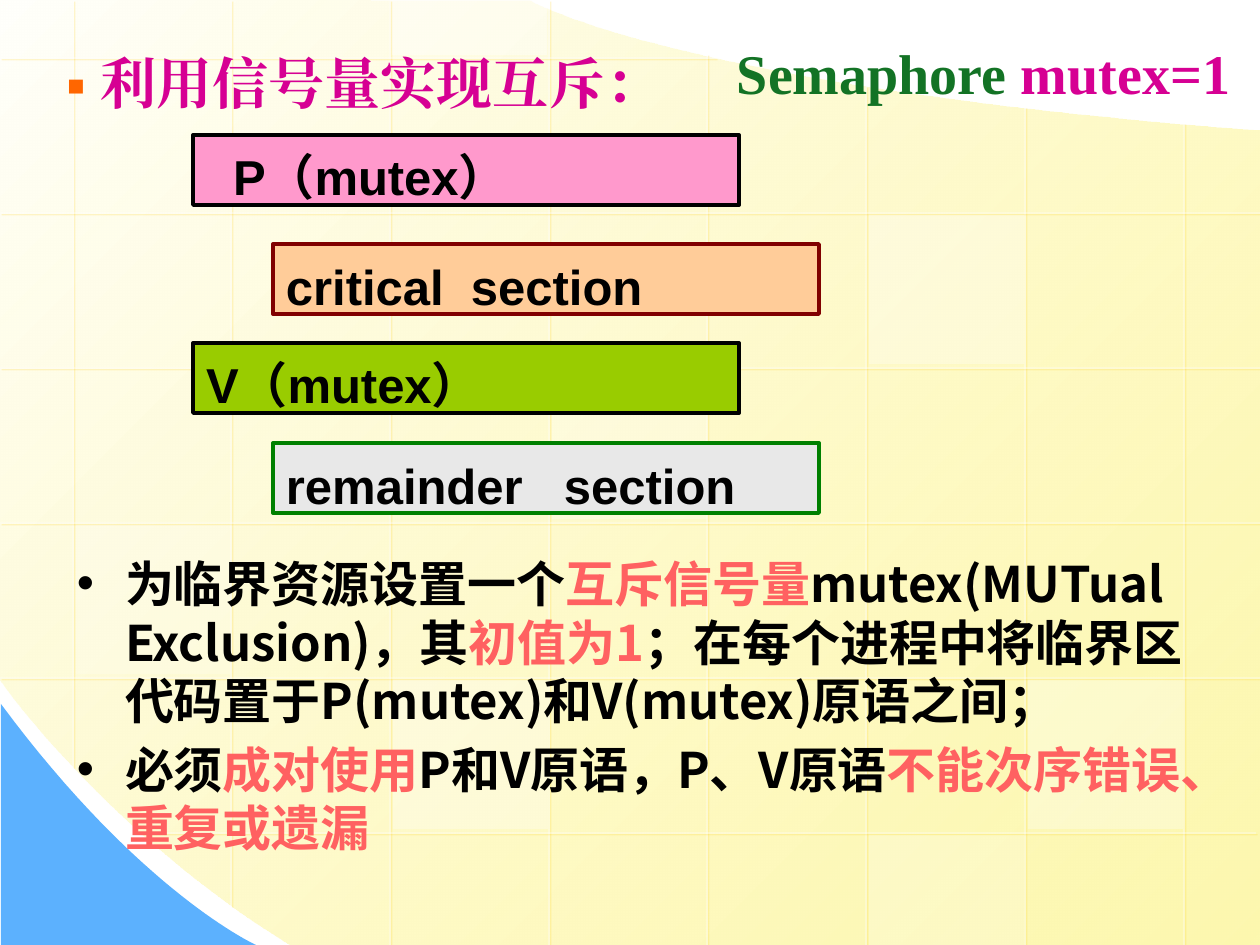
from pptx import Presentation
from pptx.dml.color import RGBColor
from pptx.enum.shapes import MSO_CONNECTOR, MSO_SHAPE
from pptx.enum.text import MSO_ANCHOR, PP_ALIGN
from pptx.oxml import parse_xml
from pptx.oxml.ns import nsdecls, qn
from pptx.util import Emu, Pt

RECT = MSO_SHAPE.RECTANGLE
STRAIGHT = MSO_CONNECTOR.STRAIGHT
TOP = MSO_ANCHOR.TOP
LEFT = PP_ALIGN.LEFT

SCALE = 914400 / 126
WIDTH, HEIGHT = 1260, 945
SANS, SERIF, CJK = "Arial", "Times New Roman", "Noto Sans CJK SC"

WHITE = RGBColor(0xFF, 0xFF, 0xFF)
BLACK = RGBColor(0x00, 0x00, 0x00)
IVORY = RGBColor(0xFF, 0xFF, 0xFB)
YELLOW = RGBColor(0xFD, 0xF5, 0x8D)
GOLD = RGBColor(0xFF, 0xCC, 0x00)
BLUE = RGBColor(0x5C, 0xB1, 0xFE)
CORAL = RGBColor(0xFF, 0x61, 0x61)
ORANGE = RGBColor(0xFF, 0x66, 0x00)
MAGENTA = RGBColor(0xD6, 0x00, 0x93)
FOREST = RGBColor(0x13, 0x73, 0x25)
PINK = RGBColor(0xFF, 0x99, 0xCC)
PEACH = RGBColor(0xFF, 0xCC, 0x99)
MAROON = RGBColor(0x80, 0x00, 0x00)
LIME = RGBColor(0x99, 0xCC, 0x00)
GRAY = RGBColor(0xE8, 0xE8, 0xE8)
GREEN = RGBColor(0x00, 0x80, 0x00)


def px(n):
    return Emu(round(n * SCALE))


def bezier(a, b, c, d, steps=32):
    points = []
    for i in range(1, steps + 1):
        t = i / steps
        u = 1 - t
        points.append(tuple(
            u**3 * a[k] + 3 * u * u * t * b[k] + 3 * u * t * t * c[k] + t**3 * d[k]
            for k in (0, 1)))
    return points


def set_alpha(color, percent):
    color.append(parse_xml(f'<a:alpha {nsdecls("a")} val="{percent * 1000}"/>'))


class SlideBuilder:
    def __init__(self, slide):
        self.s = slide

    def outline(self, points):
        start, *rest = [(px(x), px(y)) for x, y in points]
        builder = self.s.shapes.build_freeform(*start)
        builder.add_line_segments(rest, close=True)
        sp = builder.convert_to_shape()
        sp.shadow.inherit = False
        sp.line.fill.background()
        return sp

    def solid_outline(self, points, color):
        sp = self.outline(points)
        sp.fill.solid()
        sp.fill.fore_color.rgb = color

    def gradient_outline(self, points, first, last, alpha):
        sp = self.outline(points)
        sp.fill.gradient()
        sp.fill.gradient_angle = 315
        for stop, color, position in zip(sp.fill.gradient_stops, (first, last), (0, 1)):
            stop.color.rgb = color
            stop.position = position
        set_alpha(list(sp.element.iter(qn("a:srgbClr")))[-1], alpha)

    def grid_line(self, x1, y1, x2, y2):
        line = self.s.shapes.add_connector(STRAIGHT, px(x1), px(y1), px(x2), px(y2))
        line.line.color.rgb = WHITE
        line.line.width = Pt(0.75)
        set_alpha(next(line.element.iter(qn("a:srgbClr"))), 50)
        line.element.spPr.append(parse_xml(
            f'<a:effectLst {nsdecls("a")}><a:outerShdw dist="17780" dir="2700000">'
            f'<a:srgbClr val="{GOLD}"><a:alpha val="34000"/></a:srgbClr>'
            '</a:outerShdw></a:effectLst>'))

    def rect(self, x, y, w, h, fill):
        sp = self.s.shapes.add_shape(RECT, px(x), px(y), px(w), px(h))
        sp.shadow.inherit = False
        sp.fill.solid()
        sp.fill.fore_color.rgb = fill
        return sp

    def tile(self, x, y, h, alpha):
        sp = self.rect(x, y, 155, h, WHITE)
        sp.line.fill.background()
        set_alpha(next(sp.element.spPr.iter(qn("a:srgbClr"))), alpha)

    def frame(self, sp, top, right=13):
        tf = sp.text_frame
        tf.word_wrap = True
        tf.vertical_anchor = TOP
        tf.margin_left, tf.margin_right = px(13), px(right)
        tf.margin_top, tf.margin_bottom = px(top), px(6)
        return tf

    def runs(self, p, parts, font, size):
        p.alignment = LEFT
        for text, color in parts:
            r = p.add_run()
            r.text = text
            r.font.name = font
            r.font.size = Pt(size)
            r.font.bold = True
            r.font.color.rgb = color
            r.font._element.find(qn("a:latin")).addnext(
                parse_xml(f'<a:ea {nsdecls("a")} typeface="{font}"/>'))

    def step(self, x, y, text, fill, border, indent=0, tab=0):
        sp = self.rect(x, y, 546, 70, fill)
        sp.line.color.rgb = border
        sp.line.width = Pt(2.25)
        p = self.frame(sp, 12).paragraphs[0]
        pPr = p._p.get_or_add_pPr()
        pPr.set("marL", str(px(indent)))
        if tab:
            pPr.append(parse_xml(
                f'<a:tabLst {nsdecls("a")}><a:tab pos="{px(tab)}" algn="l"/></a:tabLst>'))
        self.runs(p, [(text, BLACK)], SANS, 28)

    def heading(self, x, y, w, parts):
        sp = self.s.shapes.add_textbox(px(x), px(y), px(w), px(79))
        self.runs(self.frame(sp, 13, 0).paragraphs[0], parts, SERIF, 32)

    def bullets(self, x, y, w, h, items):
        tf = self.frame(self.s.shapes.add_textbox(px(x), px(y), px(w), px(h)), 12)
        for i, parts in enumerate(items):
            p = tf.add_paragraph() if i else tf.paragraphs[0]
            pPr = p._p.get_or_add_pPr()
            pPr.set("marL", str(px(48)))
            pPr.set("indent", str(-px(48)))
            pPr.append(parse_xml(f'<a:buFont {nsdecls("a")} typeface="{SANS}"/>'))
            pPr.append(parse_xml(f'<a:buChar {nsdecls("a")} char="•"/>'))
            p.line_spacing = Pt(33.4)
            if i:
                p.space_before = Pt(6)
            self.runs(p, parts, CJK, 28)


def draw_background(b):
    b.gradient_outline(
        [(1260, 131), (1260, 945), (290, 945)]
        + bezier((290, 945), (108, 833), (-1, 679), (0, 679))
        + [(-1, -1), (530, 1)]
        + bezier((530, 1), (530, 1), (677, 87), (1260, 131))[:-1],
        IVORY, YELLOW, 70)
    b.solid_outline(
        [(1, 704), (1, 945), (256, 945)]
        + bezier((256, 945), (256, 945), (141, 893), (1, 704))[:-1], BLUE)

    columns = [73 + 1111 * i // 7 for i in range(8)]
    rows = [58 + 155 * i for i in range(6)]
    tops = [0, 0, 0, 0, 54, 86, 107, 123]
    bottoms = [767, 906] + [HEIGHT] * 6
    for x, top, bottom in zip(columns, tops, bottoms):
        b.grid_line(x, top, x, bottom)
    for y, left, right in zip(rows, [0] * 5 + [140], [716] + [WIDTH] * 4 + [1256]):
        b.grid_line(right, y, left, y)

    for col, row, alpha in [(3, 2, 25), (6, 4, 30), (0, 3, 20), (2, 4, 30), (5, 1, 30)]:
        b.tile(columns[col] + 3, rows[row] + 2, 149, alpha)
    b.tile(columns[5] + 3, rows[5] + 2, 110, 20)
    b.tile(columns[2] + 2, 0, 55, 40)


def main():
    prs = Presentation()
    prs.slide_width, prs.slide_height = px(WIDTH), px(HEIGHT)
    b = SlideBuilder(prs.slides.add_slide(prs.slide_layouts[6]))
    draw_background(b)

    b.bullets(64, 542, 1153, 328, [
        [("为临界资源设置一个", BLACK), ("互斥信号量", CORAL),
         ("mutex(MUTual Exclusion)，其", BLACK), ("初值为1", CORAL),
         ("；在每个进程中将临界区代码置于P(mutex)和V(mutex)原语之间；", BLACK)],
        [("必须", BLACK), ("成对使用", CORAL), ("P和V原语，P、V原语", BLACK),
         ("不能次序错误、重复或遗漏", CORAL)],
    ])
    b.heading(54, 35, 655, [("▪ ", ORANGE), ("利用信号量实现互斥：", MAGENTA)])
    b.heading(724, 26, 541, [("Semaphore ", FOREST), ("mutex=1", MAGENTA)])

    outer, inner = 193, 273
    b.step(outer, 135, "P（mutex）", PINK, BLACK, indent=27)
    b.step(inner, 244, "critical\tsection", PEACH, MAROON, tab=185)
    b.step(outer, 343, "V（mutex）", LIME, BLACK)
    b.step(inner, 443, "remainder\tsection", GRAY, GREEN, tab=278)
    prs.save("out.pptx")


if __name__ == "__main__":
    main()
